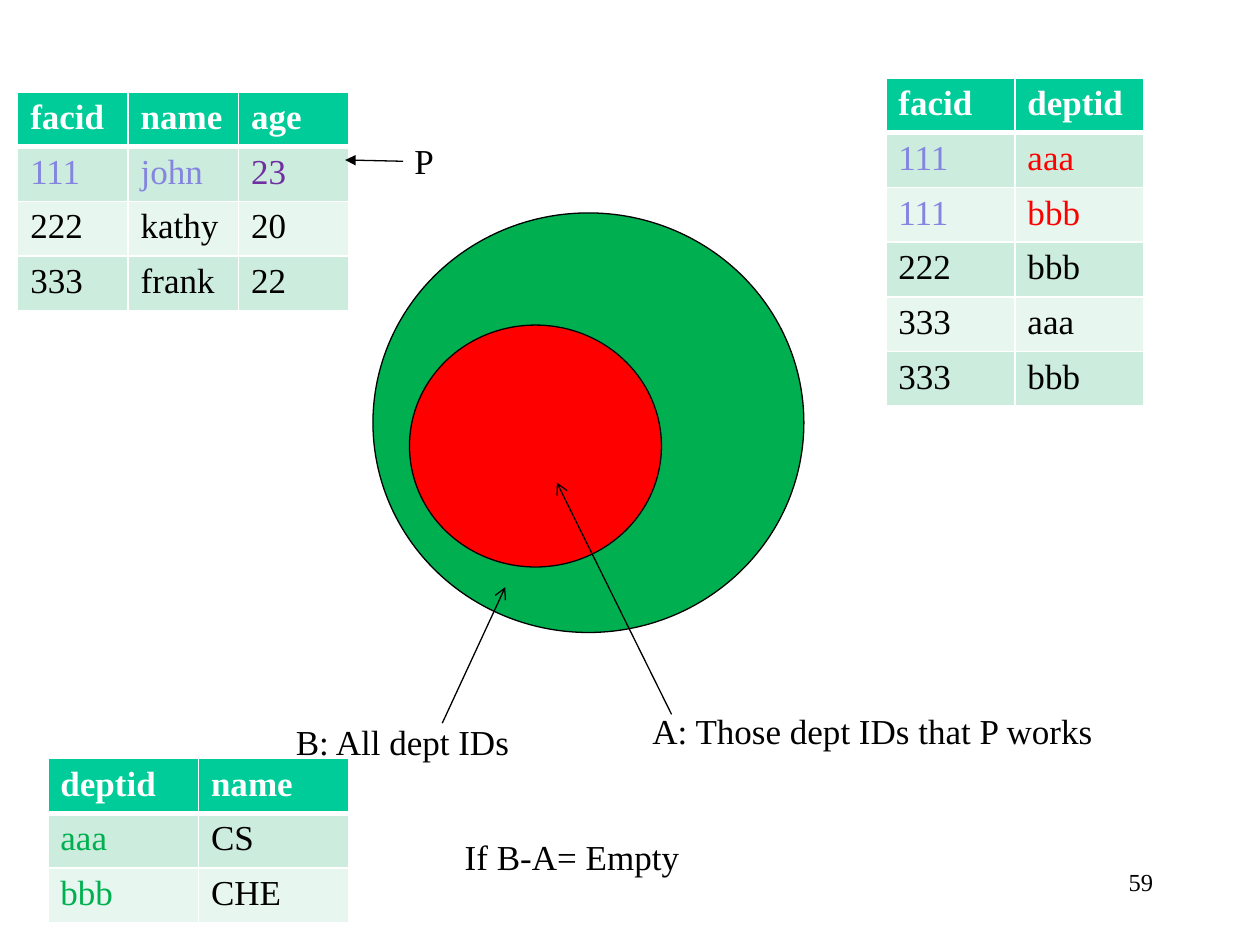
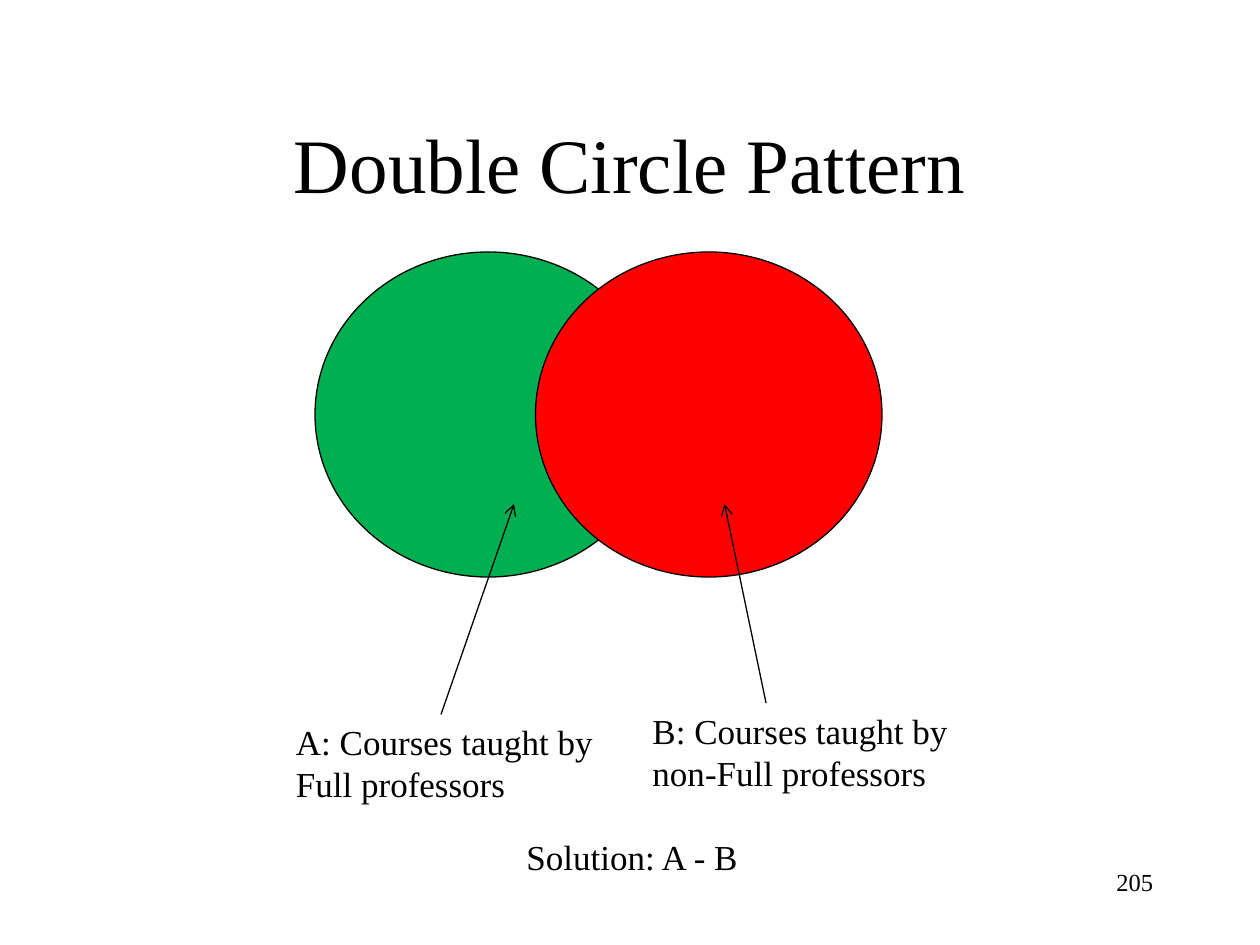
from lxml.etree import SubElement
from pptx import Presentation
from pptx.dml.color import RGBColor
from pptx.enum.shapes import MSO_CONNECTOR, MSO_SHAPE
from pptx.enum.text import MSO_ANCHOR, PP_ALIGN
from pptx.oxml.ns import qn
from pptx.util import Inches, Pt

FONT = "Times New Roman"
WHITE, BLACK, GREEN, RED = "FFFFFF", "000000", "00B050", "FF0000"
LILAC, PURPLE, HEADER = "8585E0", "7030A0", "00CC99"
BANDS = ["CCECDE", "E7F6EF"]
ROW_HEIGHT = 0.43
TITLE_BOX = (0.75, 0.67, 8.5, 1.25)
NUMBER_BOX = (7.17, 6.83, 2.08, 0.5)
TITLE_ONLY, BLANK = 5, 6

SLIDES = [
    {
        "number": "59",
        "circles": [((2.96, 1.69, 3.42, 3.33), GREEN), ((3.25, 2.58, 2, 1.92), RED)],
        "labels": [
            ((2.25, 5.67, 2.1, 0.44), ["B: All dept IDs"]),
            ((5.08, 5.58, 4, 0.44), ["A: Those dept IDs that P works"]),
            ((3.59, 6.58, 2, 0.44), ["If B-A= Empty"]),
            ((3.19, 1.06, 0.41, 0.44), ["P"]),
        ],
        "arrows": [
            ((3.51, 5.74), (4.01, 4.66), "arrow"),
            ((5.33, 5.67), (4.42, 3.83), "arrow"),
            ((3.2, 1.28), (2.74, 1.27), "triangle"),
        ],
        "tables": [
            {
                "at": (0.14, 0.73),
                "width": 2.63,
                "rows": [["facid", "name", "age"], ["111", "john", "23"],
                         ["222", "kathy", "20"], ["333", "frank", "22"]],
                "colours": {(1, 0): LILAC, (1, 1): LILAC, (1, 2): PURPLE},
            },
            {
                "at": (0.38, 6.02),
                "width": 2.39,
                "rows": [["deptid", "name"], ["aaa", "CS"], ["bbb", "CHE"]],
                "colours": {(1, 0): GREEN, (2, 0): GREEN},
            },
            {
                "at": (7.03, 0.62),
                "width": 2.05,
                "rows": [["facid", "deptid"], ["111", "aaa"], ["111", "bbb"],
                         ["222", "bbb"], ["333", "aaa"], ["333", "bbb"]],
                "colours": {(1, 0): LILAC, (1, 1): RED, (2, 0): LILAC, (2, 1): RED},
            },
        ],
    },
    {
        "title": "Double Circle Pattern",
        "number": "205",
        "circles": [((2.5, 2, 2.75, 2.58), GREEN), ((4.25, 2, 2.75, 2.58), RED)],
        "labels": [
            ((2.25, 5.67, 2.75, 0.77), ["A: Courses taught by", "Full professors"]),
            ((5.08, 5.58, 2.75, 0.77), ["B: Courses taught by", "non-Full professors"]),
            ((4.08, 6.58, 2, 0.44), ["Solution: A - B"]),
        ],
        "arrows": [
            ((3.5, 5.67), (4.08, 4), "arrow"),
            ((6.08, 5.58), (5.75, 4), "arrow"),
        ],
    },
]


def rgb(colour):
    return RGBColor.from_string(colour)


def inches(values):
    return [Inches(v) for v in values]


def write(tf, lines, size=20, colour=BLACK, bold=False, align=PP_ALIGN.LEFT):
    tf.word_wrap = True
    for i, line in enumerate(lines):
        p = tf.paragraphs[0] if i == 0 else tf.add_paragraph()
        p.alignment = align
        r = p.add_run()
        r.text = line
        for name, value in {"name": FONT, "size": Pt(size), "bold": bold}.items():
            setattr(r.font, name, value)
        r.font.color.rgb = rgb(colour)


def add_title(s, text):
    sp = s.shapes.title
    box = dict(zip(("left", "top", "width", "height"), inches(TITLE_BOX)))
    for name, value in box.items():
        setattr(sp, name, value)
    sp.text_frame.vertical_anchor = MSO_ANCHOR.MIDDLE
    write(sp.text_frame, [text], size=44, align=PP_ALIGN.CENTER)


def add_text(s, box, lines, **style):
    write(s.shapes.add_textbox(*inches(box)).text_frame, lines, **style)


def add_circle(s, box, fill):
    sp = s.shapes.add_shape(MSO_SHAPE.OVAL, *inches(box))
    sp.shadow.inherit = False
    sp.fill.solid()
    sp.fill.fore_color.rgb = rgb(fill)
    sp.line.color.rgb = rgb(BLACK)
    sp.line.width = Pt(0.75)


def add_arrow(s, start, end, head):
    line = s.shapes.add_connector(MSO_CONNECTOR.STRAIGHT, *inches(start + end))
    line.line.color.rgb = rgb(BLACK)
    line.line.width = Pt(0.75)
    SubElement(line.line._get_or_add_ln(), qn("a:tailEnd"), type=head)
    SubElement(line._element.spPr, qn("a:effectLst"))


def add_borders(cell, bottom):
    tcPr = cell._tc.get_or_add_tcPr()
    for i, (side, width) in enumerate({"L": 1, "R": 1, "T": 1, "B": bottom}.items()):
        ln = tcPr.makeelement(qn(f"a:ln{side}"), {"w": str(Pt(width))})
        fill = SubElement(ln, qn("a:solidFill"))
        SubElement(fill, qn("a:srgbClr"), val=WHITE)
        tcPr.insert(i, ln)


def add_table(s, at, width, rows, colours):
    box = (*at, width, ROW_HEIGHT * len(rows))
    table = s.shapes.add_table(len(rows), len(rows[0]), *inches(box)).table
    for i, row in enumerate(rows):
        header = i == 0
        for j, text in enumerate(row):
            cell = table.cell(i, j)
            cell.fill.solid()
            cell.fill.fore_color.rgb = rgb(HEADER if header else BANDS[(i - 1) % 2])
            add_borders(cell, 3 if header else 1)
            colour = WHITE if header else colours.get((i, j), BLACK)
            write(cell.text_frame, [text], colour=colour, bold=header)


def build_slide(prs, content):
    title = content.get("title")
    s = prs.slides.add_slide(prs.slide_layouts[TITLE_ONLY if title else BLANK])
    if title:
        add_title(s, title)
    for circle in content["circles"]:
        add_circle(s, *circle)
    for label in content["labels"]:
        add_text(s, *label)
    for table in content.get("tables", []):
        add_table(s, **table)
    for arrow in content["arrows"]:
        add_arrow(s, *arrow)
    add_text(s, NUMBER_BOX, [content["number"]], size=14, align=PP_ALIGN.RIGHT)


def main():
    prs = Presentation()
    prs.slide_width, prs.slide_height = inches((10, 7.5))
    for content in SLIDES:
        build_slide(prs, content)
    prs.save("out.pptx")


if __name__ == "__main__":
    main()
